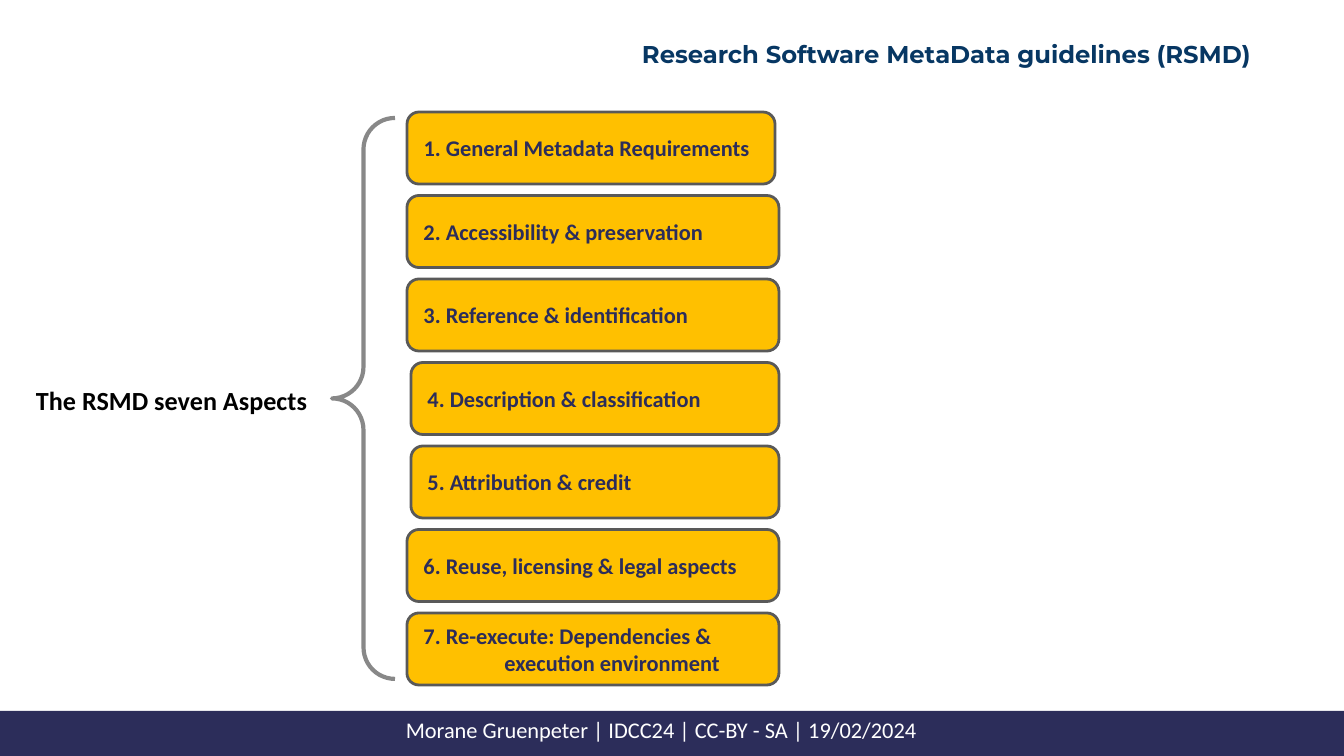
from pptx import Presentation
from pptx.dml.color import RGBColor
from pptx.enum.shapes import MSO_SHAPE
from pptx.enum.text import MSO_ANCHOR, MSO_AUTO_SIZE, PP_ALIGN
from pptx.util import Pt

# Content
TITLE = "Research Software MetaData guidelines (RSMD)"
LABEL = "The RSMD seven Aspects"
FOOTER = "Morane Gruenpeter | IDCC24 | CC-BY - SA | 19/02/2024"
ASPECTS = [  # text, left, right, hanging indent
    ("1. General Metadata Requirements", 407, 775, 0),
    ("2. Accessibility & preservation", 407, 779, 81),
    ("3. Reference & identification", 407, 779, 81),
    ("4. Description & classification", 411, 779, 81),
    ("5. Attribution & credit", 411, 779, 81),
    ("6. Reuse, licensing & legal aspects", 407, 779, 81),
    ("7. Re-execute: Dependencies & execution environment", 407, 779, 81),
]
COLORS = {"navy": "2C2D5A", "gold": "FFC000", "edge": "595959", "brace": "888888",
          "title": "073763", "black": "000000", "white": "FFFFFF"}
TOP, STEP, HIGH = 112, 83.5, 72


def px(n):
    return round(n * 914400 / 134.4)


def color(name):
    return RGBColor.from_string(COLORS[name])


def place(shape, x, y, w, h):
    shape.left, shape.top, shape.width, shape.height = map(px, (x, y, w, h))


def write(shape, text, size, ink, bold=True, face="Calibri", align=PP_ALIGN.LEFT,
          anchor=MSO_ANCHOR.TOP, pad=(13, 13), margin=0, indent=0):
    frame = shape.text_frame
    frame.word_wrap = True
    frame.auto_size = MSO_AUTO_SIZE.NONE
    frame.vertical_anchor = anchor
    frame.margin_left = frame.margin_right = px(pad[0])
    frame.margin_top = frame.margin_bottom = px(pad[1])
    para = frame.paragraphs[0]
    para.text = text
    para.alignment = align
    props = para._p.get_or_add_pPr()
    props.set("marL", str(px(margin)))
    props.set("indent", str(px(indent)))
    font = para.font
    font.name, font.size, font.bold = face, Pt(size), bold
    font.color.rgb = color(ink)
    return para


def draw(kind, x, y, w, h, fill=None, line=None, width=1.5):
    shape = slide.shapes.add_shape(kind, *map(px, (x, y, w, h)))
    shape.shadow.inherit = False
    if fill:
        shape.fill.solid()
        shape.fill.fore_color.rgb = color(fill)
    else:
        shape.fill.background()
    if line:
        shape.line.color.rgb = color(line)
        shape.line.width = Pt(width)
    else:
        shape.line.fill.background()
    return shape


deck = Presentation()
deck.slide_width, deck.slide_height = px(1344), px(756)
slide = deck.slides.add_slide(deck.slide_layouts[5])

# Title
title = slide.shapes.title
place(title, 562, 22, 785, 58)
para = write(title, TITLE, 13, "title", face="Montserrat", margin=67)
para.line_spacing = 1.15

# Aspect boxes
for i, (text, left, right, hang) in enumerate(ASPECTS):
    box = draw(MSO_SHAPE.FLOWCHART_ALTERNATE_PROCESS, left, TOP + i * STEP,
               right - left, HIGH, "gold", "edge")
    para = write(box, text, 12, "navy", anchor=MSO_ANCHOR.MIDDLE,
                 margin=hang, indent=-hang)
    para.space_after = Pt(6)

# Label and brace
label = slide.shapes.add_textbox(*map(px, (23, 371, 309, 78)))
write(label, LABEL, 14, "black")
brace = draw(MSO_SHAPE.LEFT_BRACE, 332, 118, 63, 561, line="brace", width=2.25)
brace.adjustments[0] = brace.adjustments[1] = 0.5

# Footer bar
bar = draw(MSO_SHAPE.RECTANGLE, -30, 711, 1383, 45, "navy")
write(bar, FOOTER, 12, "white", bold=False, align=PP_ALIGN.CENTER, pad=(9, 5))

deck.save("out.pptx")
